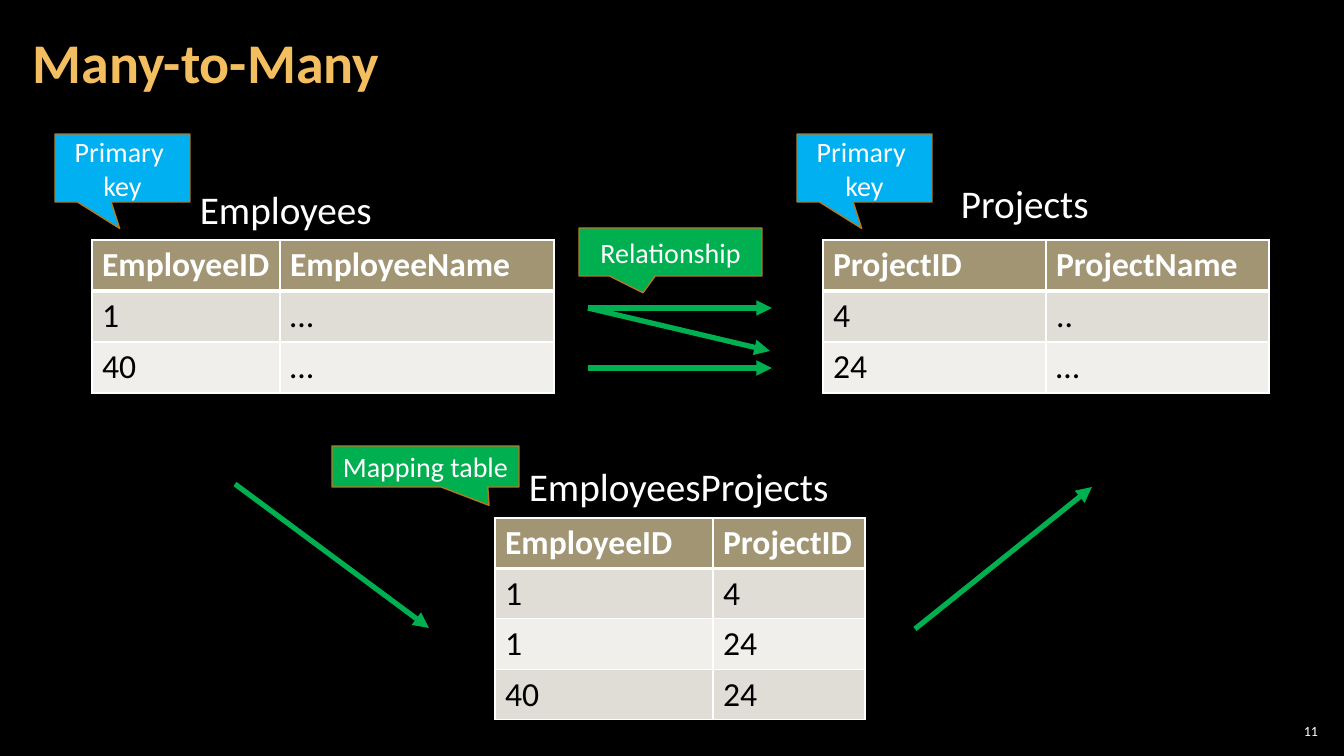
from lxml import etree
from pptx import Presentation
from pptx.dml.color import RGBColor
from pptx.enum.shapes import MSO_CONNECTOR, MSO_SHAPE
from pptx.enum.text import MSO_ANCHOR, MSO_AUTO_SIZE, PP_ALIGN
from pptx.oxml.ns import qn
from pptx.util import Emu, Pt

STRAIGHT = MSO_CONNECTOR.STRAIGHT
CALLOUT = MSO_SHAPE.RECTANGULAR_CALLOUT
MIDDLE, TOP = MSO_ANCHOR.MIDDLE, MSO_ANCHOR.TOP
LEFT, CENTER, RIGHT = PP_ALIGN.LEFT, PP_ALIGN.CENTER, PP_ALIGN.RIGHT
FIT_SHAPE = MSO_AUTO_SIZE.SHAPE_TO_FIT_TEXT

EMU_PER_PX = 914400 / 100.8
FONT = "Calibri"
COLORS = {
    "background": "000000",
    "title": "F3BE60",
    "white": "FFFFFF",
    "black": "000000",
    "header": "A19574",
    "odd_row": "E0DDD6",
    "even_row": "F0EFEB",
    "green": "00B050",
    "blue": "00B0F0",
    "outline": "B27822",
}

# Left, top, column widths, row height, rows
TABLES = [
    (92, 240, (188, 274), 51,
     [("EmployeeID", "EmployeeName"), ("1", "…"), ("40", "…")]),
    (823, 240, (223, 223), 51,
     [("ProjectID", "ProjectName"), ("4", ".."), ("24", "…")]),
    (495, 518, (218, 152), 50,
     [("EmployeeID", "ProjectID"), ("1", "4"), ("1", "24"), ("40", "24")]),
]
LABELS = [
    ("Employees", (190, 180, 194, 57)),
    ("Projects", (951, 174, 149, 57)),
    ("EmployeesProjects", (519, 457, 324, 57)),
]
# Text, place, fill, pointer tip
CALLOUTS = [
    ("Primary \vkey", (55, 134, 135, 68), "blue", (-0.02, 0.89)),
    ("Primary \vkey", (797, 134, 135, 68), "blue", (-0.02, 0.89)),
    ("Relationship", (579, 228, 183, 48), "green", (-0.15, 0.85)),
    ("Mapping table", (332, 446, 187, 41), "green", (0.34, 0.95)),
]
ARROWS = [
    (588, 308, 772, 308),
    (588, 308, 770, 351),
    (588, 368, 772, 368),
    (235, 484, 429, 628),
    (915, 629, 1092, 487),
]


def px(*lengths):
    return [Emu(round(length * EMU_PER_PX)) for length in lengths]


def rgb(name):
    return RGBColor.from_string(COLORS[name])


def set_all(target, values):
    for name, value in values.items():
        setattr(target, name, value)


def write(frame, text, size, color="white", bold=False, align=LEFT):
    frame.text = text
    para = frame.paragraphs[0]
    para.alignment = align
    for span in para.runs:
        set_all(span.font, {"name": FONT, "size": Pt(size), "bold": bold})
        span.font.color.rgb = rgb(color)
    return para


def add_text(page, text, place, size, frame_format, **style):
    frame = page.shapes.add_textbox(*px(*place)).text_frame
    set_all(frame, frame_format)
    return write(frame, text, size, **style)


def add_border(cell, side, width):
    line = etree.SubElement(cell._tc.get_or_add_tcPr(), qn("a:ln" + side),
                            w=str(Pt(width)))
    fill = etree.SubElement(line, qn("a:solidFill"))
    etree.SubElement(fill, qn("a:srgbClr"), val=COLORS["white"])


def add_grid(page, left, top, widths, row_height, rows):
    place = px(left, top, sum(widths), row_height * len(rows))
    table = page.shapes.add_table(len(rows), len(widths), *place).table
    for column, width in zip(table.columns, px(*widths)):
        column.width = width
    for r, texts in enumerate(rows):
        table.rows[r].height = px(row_height)[0]
        is_header = r == 0
        fill = "header" if is_header else "odd_row" if r % 2 else "even_row"
        # The rule between header and body is thicker
        borders = {"L": 1, "R": 1, "T": 3 if r == 1 else 1,
                   "B": 3 if is_header else 1}
        for c, text in enumerate(texts):
            cell = table.cell(r, c)
            for side, width in borders.items():
                add_border(cell, side, width)
            cell.fill.solid()
            cell.fill.fore_color.rgb = rgb(fill)
            write(cell.text_frame, text, 24,
                  color="white" if is_header else "black", bold=is_header)


def add_callout(page, text, place, fill, tip):
    box = page.shapes.add_shape(CALLOUT, *px(*place))
    box.shadow.inherit = False
    box.adjustments[0], box.adjustments[1] = tip
    box.fill.solid()
    box.fill.fore_color.rgb = rgb(fill)
    box.line.color.rgb = rgb("outline")
    box.line.width = Pt(1)
    set_all(box.text_frame, {"word_wrap": True, "vertical_anchor": MIDDLE})
    write(box.text_frame, text, 20, align=CENTER)


def add_arrow(page, *ends):
    arrow = page.shapes.add_connector(STRAIGHT, *px(*ends))
    arrow.line.color.rgb = rgb("green")
    arrow.line.width = Pt(3.75)
    etree.SubElement(arrow.line._get_or_add_ln(), qn("a:tailEnd"),
                     type="triangle")
    etree.SubElement(arrow._element.spPr, qn("a:effectLst"))


def main():
    deck = Presentation()
    deck.slide_width, deck.slide_height = px(1344, 756)
    page = deck.slides.add_slide(deck.slide_layouts[6])
    page.background.fill.solid()
    page.background.fill.fore_color.rgb = rgb("background")

    # Title and page number
    side, thin = px(12, 4)
    boxed = {"word_wrap": True, "vertical_anchor": MIDDLE,
             "margin_top": thin, "margin_bottom": thin}
    title = add_text(page, "Many-to-Many", (21, 4, 1055, 122), 40,
                     {**boxed, "margin_left": side, "margin_right": side},
                     color="title", bold=True)
    title.line_spacing = 0.9
    add_text(page, "11", (1275, 720, 47, 21), 10,
             {**boxed, "margin_left": thin, "margin_right": thin},
             align=RIGHT)

    # Tables and their names
    for grid in TABLES:
        add_grid(page, *grid)
    for text, place in LABELS:
        add_text(page, text, place, 28,
                 {"word_wrap": False, "auto_size": FIT_SHAPE,
                  "vertical_anchor": TOP})

    # Relationship arrows and explanations
    for ends in ARROWS:
        add_arrow(page, *ends)
    for callout in CALLOUTS:
        add_callout(page, *callout)

    deck.save("out.pptx")


if __name__ == "__main__":
    main()
